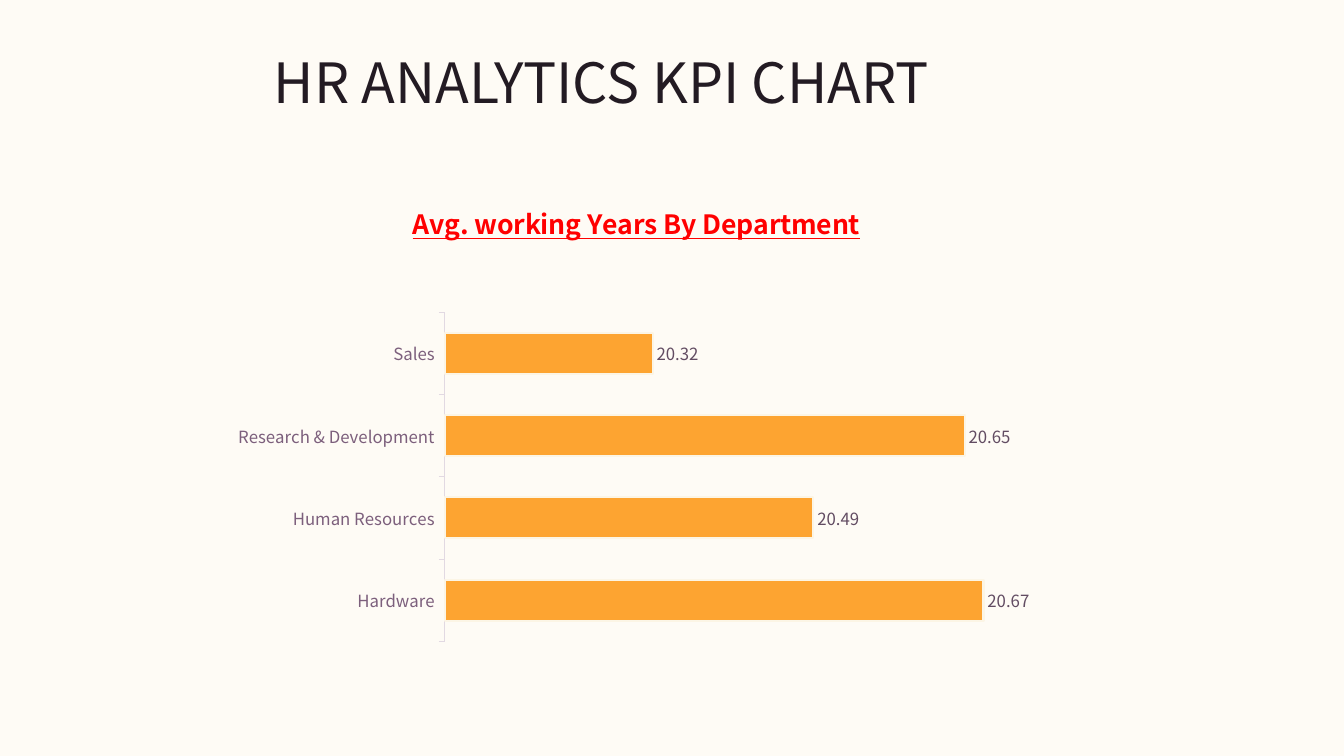
from pptx import Presentation
from pptx.chart.data import CategoryChartData
from pptx.dml.color import RGBColor
from pptx.enum.chart import XL_CHART_TYPE, XL_LABEL_POSITION, XL_TICK_LABEL_POSITION, XL_TICK_MARK
from pptx.enum.text import MSO_ANCHOR, PP_ALIGN
from pptx.oxml import parse_xml
from pptx.oxml.ns import nsdecls, qn
from pptx.util import Inches, Pt

BAR_CLUSTERED = XL_CHART_TYPE.BAR_CLUSTERED
OUTSIDE_END = XL_LABEL_POSITION.OUTSIDE_END
LABELS_LOW = XL_TICK_LABEL_POSITION.LOW
TICK_OUTSIDE, TICK_NONE = XL_TICK_MARK.OUTSIDE, XL_TICK_MARK.NONE
MIDDLE, CENTER = MSO_ANCHOR.MIDDLE, PP_ALIGN.CENTER


class Theme:
    font = "Noto Sans CJK JP"
    background = RGBColor.from_string("FEFBF5")
    text = RGBColor.from_string("231B23")
    chart_title = RGBColor.from_string("FF0000")
    bar = RGBColor.from_string("FDA431")
    bar_line = RGBColor.from_string("FCF5E5")
    value_label = RGBColor.from_string("624C62")
    category_label = RGBColor.from_string("7C5F7C")
    axis_line = RGBColor.from_string("E2D9E2")
    title_size = Pt(39.6)
    chart_title_size = Pt(19)
    label_size = Pt(12)
    chart_size = Pt(10)


YEARS_BY_DEPARTMENT = {
    "Hardware": 20.67,
    "Human Resources": 20.49,
    "Research & Development": 20.65,
    "Sales": 20.32,
}


def set_font(font, size, color):
    font.name = Theme.font
    font.size = size
    font.color.rgb = color


def set_layout(parent, index, target="", **fractions):
    """Place a chart part at fractions of the chart's size."""
    for layout in parent.findall(qn("c:layout")):
        parent.remove(layout)
    inner = f'<c:layoutTarget val="{target}"/>' if target else ""
    modes = "".join(f'<c:{key}Mode val="edge"/>' for key in "xy")
    values = "".join(f'<c:{key} val="{value}"/>' for key, value in fractions.items())
    parent.insert(index, parse_xml(
        f'<c:layout {nsdecls("c")}><c:manualLayout>{inner}{modes}{values}'
        "</c:manualLayout></c:layout>"))


def add_title(slide, text, left, top, width, height):
    box = slide.shapes.add_textbox(left, top, width, height)
    frame = box.text_frame
    frame.word_wrap = True
    frame.vertical_anchor = MIDDLE
    paragraph = frame.paragraphs[0]
    paragraph.text = text
    paragraph.alignment = CENTER
    paragraph.line_spacing = 0.9
    set_font(paragraph.font, Theme.title_size, Theme.text)


def style_axes(chart):
    category_axis = chart.category_axis
    category_axis.major_tick_mark = TICK_OUTSIDE
    category_axis.minor_tick_mark = TICK_NONE
    category_axis.tick_label_position = LABELS_LOW
    category_axis.has_major_gridlines = False
    category_axis.format.line.color.rgb = Theme.axis_line
    category_axis.format.line.width = Pt(0.75)
    set_font(category_axis.tick_labels.font, Theme.label_size, Theme.category_label)

    value_axis = chart.value_axis
    value_axis.visible = False
    value_axis.has_major_gridlines = False
    value_axis.minimum_scale = 20.1
    value_axis.maximum_scale = 20.7


def style_bars(chart):
    plot = chart.plots[0]
    plot.gap_width = 100
    plot.vary_by_categories = False
    series = plot.series[0]
    series.invert_if_negative = False
    series.format.fill.solid()
    series.format.fill.fore_color.rgb = Theme.bar
    series.format.line.color.rgb = Theme.bar_line
    series.format.line.width = Pt(1.5)

    labels = series.data_labels
    labels.show_value = True
    labels.position = OUTSIDE_END
    labels.number_format = "0.00"
    labels.number_format_is_linked = False
    set_font(labels.font, Theme.label_size, Theme.value_label)


def add_department_chart(slide, title, values, left, top, width, height):
    data = CategoryChartData(number_format="0.00")
    data.categories = list(values)
    data.add_series("Series 1", list(values.values()))
    chart = slide.shapes.add_chart(BAR_CLUSTERED, left, top, width, height, data).chart
    set_font(chart.font, Theme.chart_size, Theme.text)
    chart.has_legend = False

    # Chart heading
    chart.has_title = True
    paragraph = chart.chart_title.text_frame.paragraphs[0]
    paragraph.text = title
    set_font(paragraph.font, Theme.chart_title_size, Theme.chart_title)
    paragraph.font.bold = True
    paragraph.font.underline = True
    set_layout(chart.chart_title.element, 1, x=0.245, y=0.04)

    # Plot
    style_axes(chart)
    style_bars(chart)
    plot_area = chart.element.find(f'{qn("c:chart")}/{qn("c:plotArea")}')
    set_layout(plot_area, 0, "inner", x=0.287, y=0.243, w=0.643, h=0.576)


def main():
    presentation = Presentation()
    presentation.slide_width = Inches(13.33)
    presentation.slide_height = Inches(7.5)
    slide = presentation.slides.add_slide(presentation.slide_layouts[6])
    slide.background.fill.solid()
    slide.background.fill.fore_color.rgb = Theme.background

    add_title(slide, "HR ANALYTICS KPI CHART",
              Inches(0), Inches(0.53), Inches(11.93), Inches(0.64))
    add_department_chart(slide, "Avg. working Years By Department", YEARS_BY_DEPARTMENT,
                         Inches(1.9), Inches(1.72), Inches(8.75), Inches(5.67))
    presentation.save("out.pptx")


if __name__ == "__main__":
    main()
